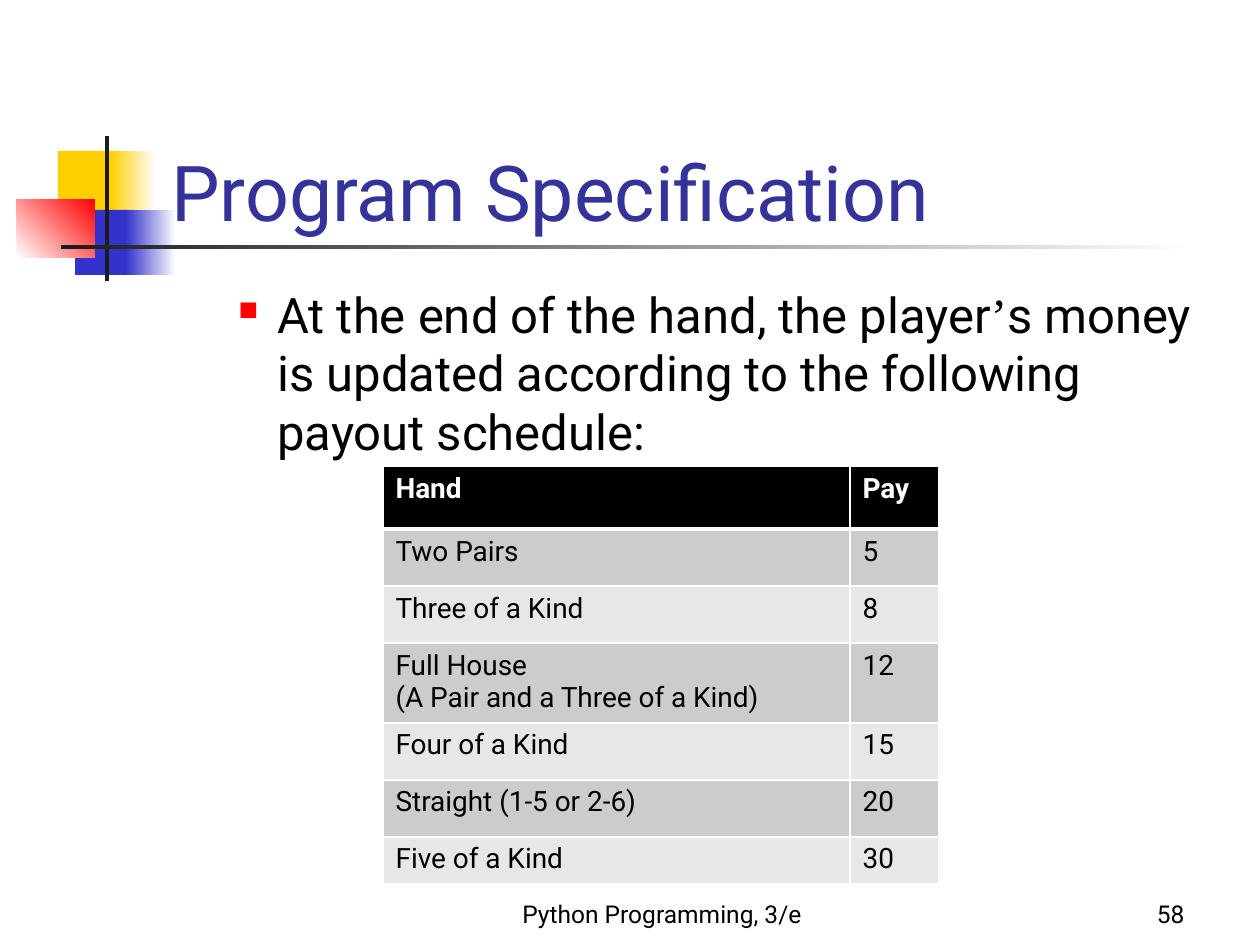
import pptx
import pptx.util
import pptx.dml.color
import pptx.enum.shapes
import pptx.enum.text
import pptx.oxml
import pptx.oxml.ns

ANCHOR = pptx.enum.text.MSO_ANCHOR
ALIGN = pptx.enum.text.PP_ALIGN
PX = 914400 / 126

COLORS = {
    "yellow": "FFCF01", "blue": "3333CC", "red": "FF0000", "white": "FFFFFF",
    "ink": "1C1C1C", "title": "333399", "black": "000000",
    "band_dark": "CCCCCC", "band_light": "E7E7E7",
}

ORNAMENTS = [
    ((58, 151, 60, 66), ["yellow"], 0),
    ((110, 151, 46, 66), ["yellow", "white"], 0),
    ((75, 210, 58, 65), ["blue"], 0),
    ((126, 210, 50, 65), ["blue", "white"], 0),
    ((17, 199, 78, 59), ["white", "red"], 45),
    ((105, 136, 4, 145), ["ink"], 0),
    ((61, 245, 1134, 4), ["ink", "white"], 0),
]

TEXTS = [
    ((462, 872, 400, 63), [("Python Programming, 3/e", "Roboto")],
     14, "black", ANCHOR.BOTTOM, ALIGN.CENTER, False),
    ((935, 872, 262, 63), [("58", "Roboto")],
     14, "black", ANCHOR.BOTTOM, ALIGN.RIGHT, False),
    ((159, 86, 1074, 157), [("Program Specification", "Roboto")],
     44, "title", ANCHOR.BOTTOM, ALIGN.LEFT, False),
    ((163, 278, 1071, 567),
     [("At the end of the hand, the player", "Roboto"),
      ("’", "Times New Roman"),
      ("s money is updated according to the following payout schedule:", "Roboto")],
     28, "black", ANCHOR.TOP, ALIGN.LEFT, True),
]

PAYOUTS = [
    ("Hand", "Pay"),
    ("Two Pairs", "5"),
    ("Three of a Kind", "8"),
    ("Full House\v(A Pair and a Three of a Kind)", "12"),
    ("Four of a Kind", "15"),
    ("Straight (1-5 or 2-6)", "20"),
    ("Five of a Kind", "30"),
]
PAYOUT_ORIGIN = (383, 466)
COLUMN_WIDTHS = [467, 89]
ROW_HEIGHTS = [63, 57, 57, 79, 57, 57, 47]


def emu(px):
    return pptx.util.Emu(round(px * PX))


def rgb(name):
    return pptx.dml.color.RGBColor.from_string(COLORS[name])


def xml(tag, body="", **attributes):
    listed = "".join(f' {key}="{value}"' for key, value in attributes.items())
    return f"<a:{tag}{listed}>{body}</a:{tag}>"


def add_xml(parent, source):
    namespace = pptx.oxml.ns.nsdecls("a")
    wrapper = pptx.oxml.parse_xml(f"<a:wrap {namespace}>{source}</a:wrap>")
    for element in list(wrapper):
        parent.append(element)


def format_font(font, **values):
    font.color.rgb = rgb(values.pop("color"))
    for key, value in values.items():
        setattr(font, key, value)


def add_ornament(slide, box, shades, angle):
    ornament = slide.shapes.add_shape(
        pptx.enum.shapes.MSO_SHAPE.RECTANGLE, *map(emu, box))
    ornament.shadow.inherit = False
    ornament.line.fill.background()
    if len(shades) == 1:
        ornament.fill.solid()
        ornament.fill.fore_color.rgb = rgb(shades[0])
        return
    ornament.fill.gradient()
    ornament.fill.gradient_angle = angle
    for stop, shade in zip(ornament.fill.gradient_stops, shades):
        stop.color.rgb = rgb(shade)


def add_text(slide, box, runs, size, color, anchor, align, bulleted):
    frame = slide.shapes.add_textbox(*map(emu, box)).text_frame
    for key, value in {"word_wrap": True, "vertical_anchor": anchor}.items():
        setattr(frame, key, value)
    paragraph = frame.paragraphs[0]
    paragraph.alignment = align
    if bulleted:
        properties = paragraph._p.get_or_add_pPr()
        properties.set("marL", str(emu(102)))
        properties.set("indent", str(emu(-39)))
        add_xml(properties, xml("buClr", xml("srgbClr", val=COLORS["red"]))
                + xml("buSzPct", val=55000) + xml("buChar", char="■"))
    for words, face in runs:
        run = paragraph.add_run()
        run.text = words
        format_font(run.font, name=face, size=pptx.util.Pt(size), color=color)


def add_payouts(slide):
    extent = (sum(COLUMN_WIDTHS), sum(ROW_HEIGHTS))
    table = slide.shapes.add_table(
        len(PAYOUTS), len(COLUMN_WIDTHS), *map(emu, PAYOUT_ORIGIN + extent)).table
    for column, width in zip(table.columns, COLUMN_WIDTHS):
        column.width = emu(width)
    for row, height in zip(table.rows, ROW_HEIGHTS):
        row.height = emu(height)
    white = xml("solidFill", xml("srgbClr", val=COLORS["white"]))
    for r, payout in enumerate(PAYOUTS):
        header = r == 0
        band = "black" if header else ("band_light", "band_dark")[r % 2]
        weights = {"lnL": 1, "lnR": 1, "lnT": 3 if r == 1 else 1,
                   "lnB": 3 if header else 1}
        for c, words in enumerate(payout):
            cell = table.cell(r, c)
            add_xml(cell._tc.get_or_add_tcPr(), "".join(
                xml(side, white, w=pptx.util.Pt(weight))
                for side, weight in weights.items()))
            cell.fill.solid()
            cell.fill.fore_color.rgb = rgb(band)
            cell.text = words
            for run in cell.text_frame.paragraphs[0].runs:
                format_font(run.font, name="Roboto", size=pptx.util.Pt(16),
                            bold=header, color="white" if header else "black")


def main():
    deck = pptx.Presentation()
    deck.slide_width, deck.slide_height = emu(1260), emu(945)
    slide = deck.slides.add_slide(deck.slide_layouts[6])
    for ornament in ORNAMENTS:
        add_ornament(slide, *ornament)
    for text in TEXTS:
        add_text(slide, *text)
    add_payouts(slide)
    deck.save("out.pptx")


if __name__ == "__main__":
    main()
